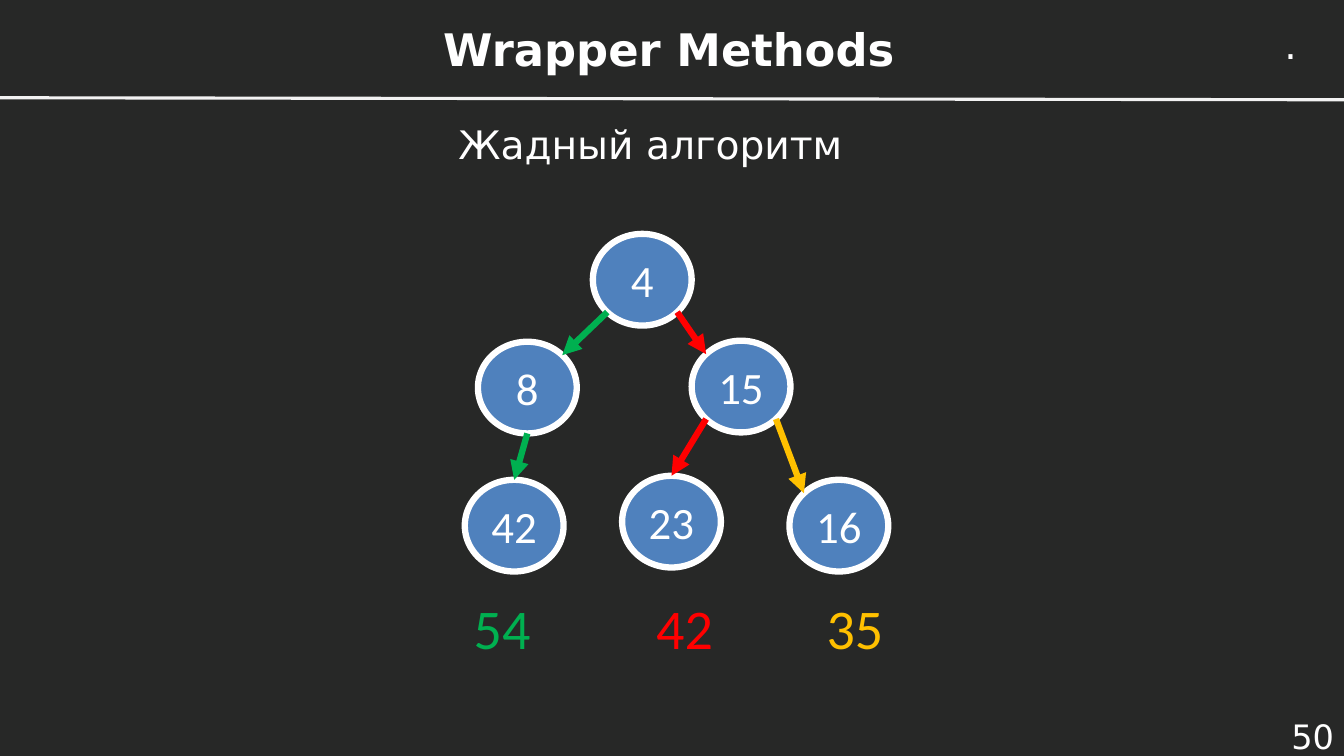
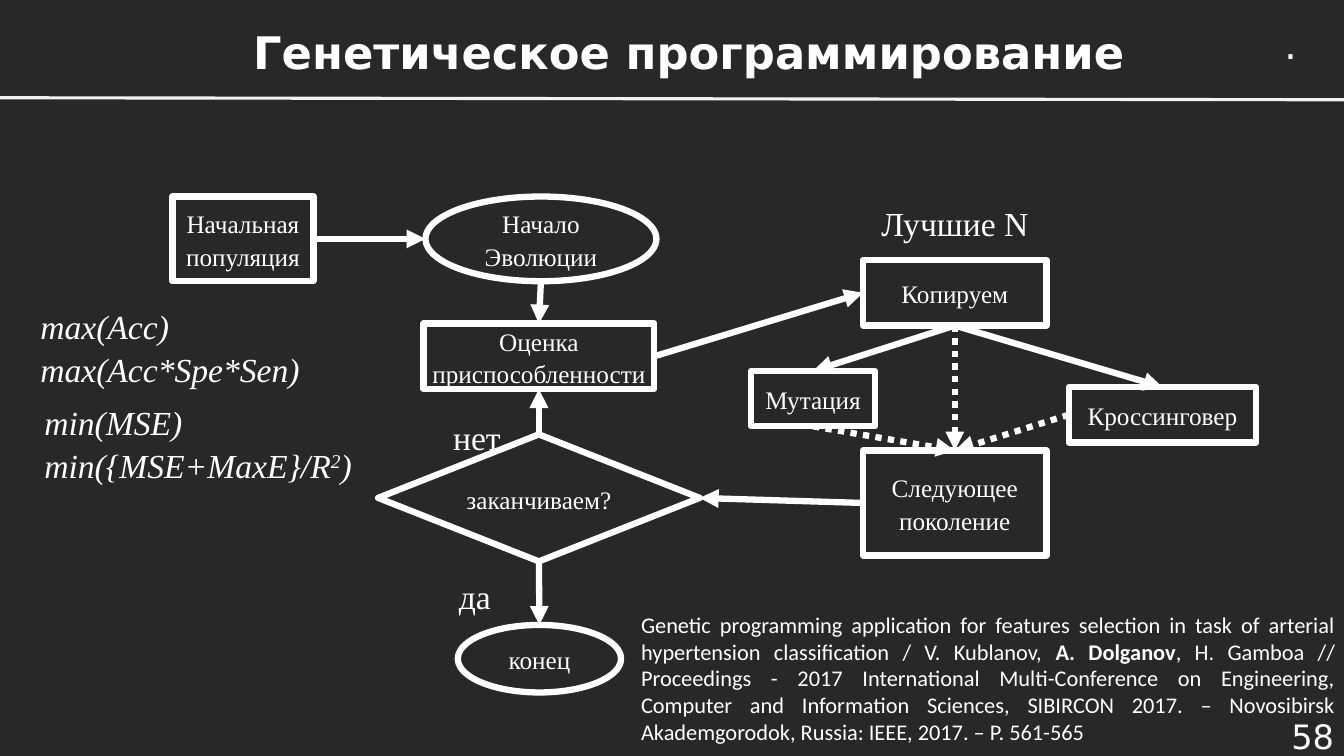
from lxml import etree
from pptx import Presentation
from pptx.dml.color import RGBColor
from pptx.enum import dml, shapes, text
from pptx.oxml import ns
from pptx.util import Inches, Pt

DARK = RGBColor(0x27, 0x28, 0x27)
WHITE = RGBColor(0xFF, 0xFF, 0xFF)
RULE = RGBColor(0xF2, 0xF2, 0xF2)
BLUE = RGBColor(0x4F, 0x81, 0xBD)
GREEN = RGBColor(0x00, 0xB0, 0x50)
RED = RGBColor(0xFF, 0x00, 0x00)
AMBER = RGBColor(0xFF, 0xC0, 0x00)

SANS, SERIF, BODY = "DejaVu Sans", "Times New Roman", "Calibri"
ALIGN, ANCHOR, SHAPE = text.PP_ALIGN, text.MSO_ANCHOR, shapes.MSO_SHAPE
OVAL, RECT, DIAMOND = SHAPE.OVAL, SHAPE.RECTANGLE, SHAPE.DIAMOND

DIAGONAL = 0.5 * 0.5 ** 0.5
NEAR, FAR = 0.5 - DIAGONAL, 0.5 + DIAGONAL
POINTS = {"top": (0.5, 0), "left": (0, 0.5), "bottom": (0.5, 1), "right": (1, 0.5),
          "top left": (NEAR, NEAR), "top right": (FAR, NEAR),
          "bottom left": (NEAR, FAR), "bottom right": (FAR, FAR)}
SITES = {"top": 0, "left": 1, "bottom": 2, "right": 3}


def write(tf, paragraphs, size=18, font=SERIF, color=WHITE, bold=False, italic=False,
          align=ALIGN.CENTER, anchor=ANCHOR.MIDDLE, margin=None, spacing=None):
    tf.word_wrap = True
    tf.vertical_anchor = anchor
    if margin is not None:
        tf.margin_left = tf.margin_right = tf.margin_top = tf.margin_bottom = margin
    for i, runs in enumerate(paragraphs):
        p = tf.paragraphs[0] if i == 0 else tf.add_paragraph()
        p.alignment = align
        if spacing:
            p.line_spacing = spacing
        for run in [runs] if isinstance(runs, str) else runs:
            content, style = (run, "") if isinstance(run, str) else run
            r = p.add_run()
            r.text = content
            r.font.size, r.font.name = Pt(size), font
            r.font.color.rgb = color
            r.font.bold, r.font.italic = bold or style == "bold", italic
            if style == "super":
                r._r.get_or_add_rPr().set("baseline", "30000")


class Deck:
    def __init__(self):
        self.prs = Presentation()
        self.prs.slide_width, self.prs.slide_height = Inches(13.33), Inches(7.5)
        self.s = None

    def slide(self, number, title, title_box):
        self.s = self.prs.slides.add_slide(self.prs.slide_layouts[6])
        fill = self.s.background.fill
        fill.solid()
        fill.fore_color.rgb = DARK
        self.line((0, Inches(0.97)), (Inches(13.33), Inches(0.99)), RULE, 2.25)
        self.label(".", (12.64, 0.15, 0.35, 0.57), size=28, font=SANS,
                   align=ALIGN.LEFT, anchor=ANCHOR.TOP)
        self.label(title, title_box, size=32, font=SANS, bold=True)
        self.label(str(number), (12.28, 7.08, 1.05, 0.45), size=24, font=SANS,
                   align=ALIGN.RIGHT)

    def label(self, content, box, **style):
        sp = self.s.shapes.add_textbox(*map(Inches, box))
        write(sp.text_frame, [content] if isinstance(content, str) else content, **style)

    def node(self, kind, content, box, fill=None, **style):
        sp = self.s.shapes.add_shape(kind, *map(Inches, box))
        sp.shadow.inherit = False
        if fill is None:
            sp.fill.background()
        else:
            sp.fill.solid()
            sp.fill.fore_color.rgb = fill
        sp.line.color.rgb = WHITE
        sp.line.width = Pt(4.5)
        write(sp.text_frame, [content], **style)
        return sp

    def line(self, start, end, color=WHITE, width=4.5):
        cxn = self.s.shapes.add_connector(shapes.MSO_CONNECTOR.STRAIGHT, *start, *end)
        cxn.line.color.rgb = color
        cxn.line.width = Pt(width)
        etree.SubElement(cxn._element.spPr, ns.qn("a:effectLst"))
        return cxn

    def arrow(self, a, a_side, b, b_side, color=WHITE, dotted=False):
        start, end = [(int(sp.left + sp.width * POINTS[side][0]),
                       int(sp.top + sp.height * POINTS[side][1]))
                      for sp, side in ((a, a_side), (b, b_side))]
        cxn = self.line(start, end, color)
        if dotted:
            cxn.line.dash_style = dml.MSO_LINE.ROUND_DOT
        ln = cxn._element.spPr.find(ns.qn("a:ln"))
        etree.SubElement(ln, ns.qn("a:tailEnd"), type="triangle")
        if a.auto_shape_type != OVAL:
            cxn.begin_connect(a, SITES[a_side])
        if b.auto_shape_type != OVAL:
            cxn.end_connect(b, SITES[b_side])


def greedy_tree(deck):
    deck.slide(50, "Wrapper Methods", (0.6, 0.05, 12.07, 0.86))
    deck.label("Жадный алгоритм", (3.04, 0.99, 6.82, 0.87), size=28, font=SANS)
    places = {4: (5.88, 2.32), 8: (4.74, 3.39), 15: (6.86, 3.38),
              42: (4.61, 4.76), 23: (6.17, 4.72), 16: (7.83, 4.76)}
    nodes = {value: deck.node(OVAL, str(value), (*place, 0.98, 0.91), fill=BLUE,
                              size=32, font=BODY)
             for value, place in places.items()}
    for a, a_side, b, b_side, color in (
            (4, "bottom left", 8, "top right", GREEN),
            (4, "bottom right", 15, "top left", RED),
            (8, "bottom", 42, "top", GREEN),
            (15, "bottom left", 23, "top", RED),
            (15, "bottom right", 16, "top left", AMBER)):
        deck.arrow(nodes[a], a_side, nodes[b], b_side, color)
    for total, left, color in (("54", 4.6, GREEN), ("42", 6.41, RED), ("35", 8.1, AMBER)):
        deck.label(total, (left, 5.84, 1, 0.77), size=40, font=BODY, color=color,
                   align=ALIGN.LEFT, anchor=ANCHOR.TOP)


def genetic_programming(deck):
    deck.slide(58, "Генетическое программирование", (1.74, 0.07, 10.19, 0.89))
    population, start, fitness, copying, crossover, mutation, offspring, check, finish = [
        deck.node(kind, content, box, margin=0, spacing=1.07) for kind, content, box in (
            (RECT, "Начальная популяция", (1.71, 1.95, 1.4, 0.84)),
            (OVAL, "Начало Эволюции", (4.22, 1.95, 2.29, 0.84)),
            (RECT, "Оценка приспособленности", (4.2, 3.21, 2.29, 0.65)),
            (RECT, "Копируем", (8.56, 2.58, 1.82, 0.65)),
            (RECT, "Кроссинговер", (10.6, 3.84, 1.86, 0.55)),
            (RECT, "Мутация", (7.45, 3.68, 1.23, 0.55)),
            (RECT, "Следующее поколение", (8.56, 4.47, 1.82, 1.04)),
            (DIAMOND, "заканчиваем?", (3.75, 4.31, 3.19, 1.26)),
            (OVAL, "конец", (4.54, 6.2, 1.62, 0.67)))]
    for a, a_side, b, b_side, dotted in (
            (population, "right", start, "left", False),
            (start, "bottom", fitness, "top", False),
            (fitness, "right", copying, "left", False),
            (copying, "bottom", mutation, "top", False),
            (copying, "bottom", crossover, "top", False),
            (copying, "bottom", offspring, "top", True),
            (mutation, "bottom", offspring, "top", True),
            (crossover, "left", offspring, "top", True),
            (offspring, "left", check, "right", False),
            (check, "top", fitness, "bottom", False),
            (check, "bottom", finish, "top", False)):
        deck.arrow(a, a_side, b, b_side, dotted=dotted)
    for content, box in (("Лучшие N", (8.16, 1.87, 2.62, 0.65)),
                         ("нет", (4.38, 4, 0.7, 0.65)),
                         ("да", (4.46, 5.57, 0.5, 0.65))):
        deck.label(content, box, size=24, margin=0, spacing=1.07)
    for formulas, box in (
            (["max(Acc)", "max(Acc*Spe*Sen)"], (0.4, 3.05, 2.7, 0.77)),
            (["min(MSE)", ["min({MSE+MaxE}/R", ("2", "super"), ")"]],
             (0.44, 3.93, 3.4, 0.91))):
        deck.label(formulas, box, size=24, italic=True, align=ALIGN.LEFT,
                   margin=0, spacing=1.07)
    deck.label([["Genetic programming application for features selection in task of "
                 "arterial hypertension classification / V. Kublanov, ",
                 ("A. Dolganov", "bold"),
                 ", H. Gamboa // Proceedings - 2017 International Multi-Conference on "
                 "Engineering, Computer and Information Sciences, SIBIRCON 2017. – "
                 "Novosibirsk Akademgorodok, Russia: IEEE, 2017. – P. 561-565"]],
               (6.26, 6.01, 7.08, 1.45), size=16, font=BODY,
               align=ALIGN.JUSTIFY, anchor=ANCHOR.TOP)


def main():
    deck = Deck()
    greedy_tree(deck)
    genetic_programming(deck)
    deck.prs.save("out.pptx")


if __name__ == "__main__":
    main()
